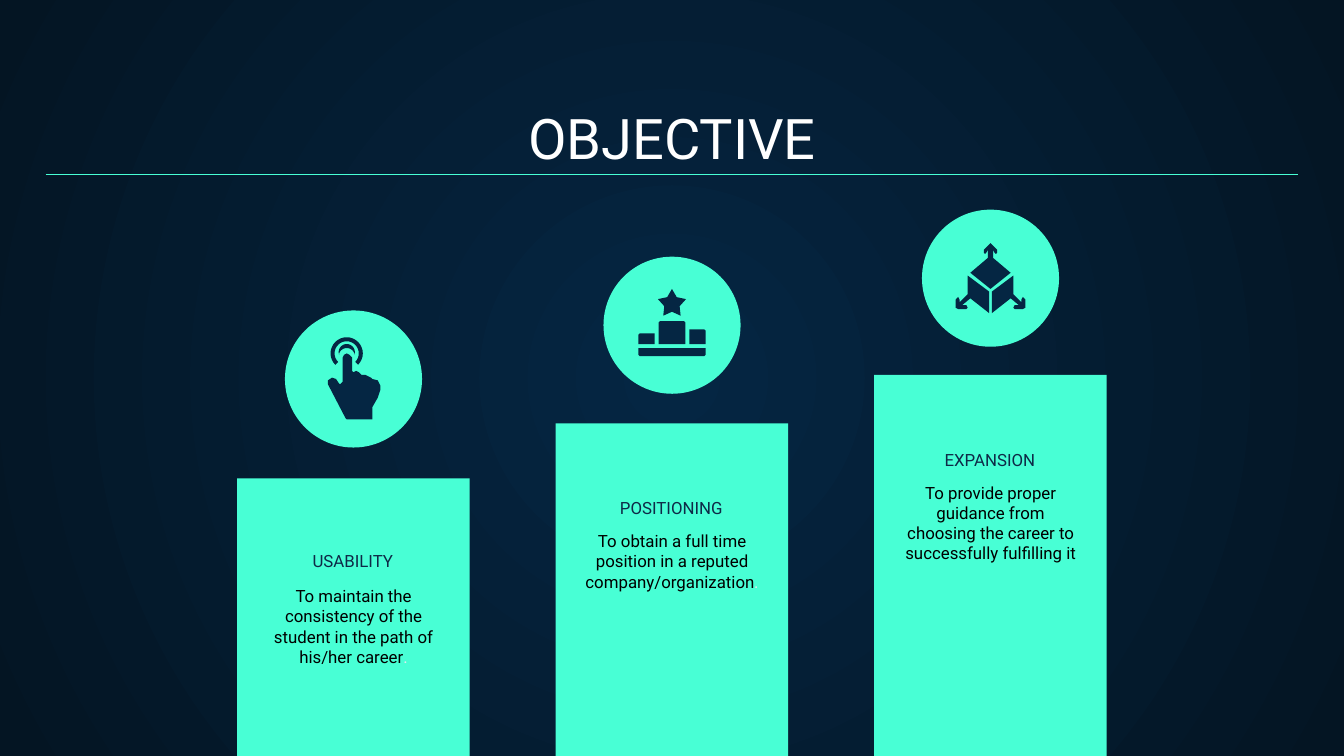
"""Build the Objective slide: three rising columns topped by icons."""
import math

import pptx
import pptx.dml.color
import pptx.enum.shapes
import pptx.enum.text
import pptx.oxml
import pptx.oxml.ns
import pptx.util

Inches = pptx.util.Inches
SHAPES = pptx.enum.shapes.MSO_SHAPE
ANCHOR = pptx.enum.text.MSO_ANCHOR

MINT = "48FFD5"
NAVY = "052643"
MIDNIGHT = "041523"
HEADING_BLUE = "0E2A47"
WHITE = "FFFFFF"
BLACK = "000000"
PALE = "E3E9ED"

SLIDE_WIDTH = 10
SLIDE_HEIGHT = SLIDE_WIDTH * 9 / 16
FIRST_CENTER, COLUMN_PITCH = 2.63, 2.37
COLUMN_WIDTH, COLUMN_BOTTOM = 1.73, 5.66
CIRCLE_SIZE = 1.02


def rgb(color):
    return pptx.dml.color.RGBColor.from_string(color)


def mirror(points):
    return [(-x, y) for x, y in reversed(points)]


def arc(center_x, center_y, radius, start, end, steps=24):
    angles = [math.radians(start + (end - start) * i / steps) for i in range(steps + 1)]
    return [(center_x + radius * math.cos(a), center_y + radius * math.sin(a)) for a in angles]


def touch_icon():
    ring = arc(-0.05, -0.19, 0.12, 135, 405) + arc(-0.05, -0.19, 0.09, 405, 135)
    fingertip = arc(-0.05, -0.2, 0.06, 160, 380) + arc(-0.05, -0.17, 0.06, 345, 195)
    hand = [
        (-0.05, -0.19), (-0.07, -0.18), (-0.08, -0.16), (-0.08, 0.02), (-0.1, 0.04),
        (-0.11, 0.03), (-0.13, 0), (-0.16, -0.01), (-0.19, 0.01), (-0.19, 0.04),
        (-0.06, 0.29), (-0.05, 0.3), (0.14, 0.3), (0.14, 0.21), (0.18, 0.14),
        (0.2, 0.08), (0.2, 0.05), (0.18, 0.01), (0.14, 0), (0.13, -0.01),
        (0.09, -0.03), (0.06, -0.03), (0.04, -0.05), (0.02, -0.06), (0, -0.05),
        (-0.01, -0.06), (-0.01, -0.16), (-0.03, -0.18),
    ]
    return [ring, fingertip, hand]


def podium_icon():
    star = []
    for i in range(10):
        star += arc(0, -0.16, 0.06 if i % 2 else 0.11, 36 * i - 90, 36 * i - 90, 1)
    first = [(-0.1, 0.14), (-0.1, -0.02), (-0.09, -0.03)]
    second = [(0.13, 0.14), (0.13, 0.03), (0.24, 0.03), (0.25, 0.04), (0.25, 0.14)]
    third = [(-0.25, 0.14), (-0.25, 0.07), (-0.24, 0.06), (-0.13, 0.06), (-0.13, 0.14)]
    base = [(-0.25, 0.17), (-0.25, 0.22), (-0.24, 0.23)]
    return [star, first + mirror(first), second, third, base + mirror(base)]


def cube_icon():
    side = [
        (0.17, -0.02), (0.01, 0.1), (0.01, 0.26), (0.15, 0.15), (0.21, 0.2),
        (0.18, 0.2), (0.17, 0.22), (0.18, 0.23), (0.24, 0.23), (0.26, 0.22),
        (0.26, 0.16), (0.24, 0.14), (0.23, 0.16), (0.23, 0.18), (0.17, 0.12),
    ]
    top = [
        (0, -0.26), (-0.01, -0.25), (-0.05, -0.21), (-0.05, -0.19), (-0.04, -0.18),
        (-0.03, -0.19), (-0.02, -0.21), (-0.02, -0.15), (-0.15, -0.04), (0, 0.08),
    ]
    return [side, mirror(side), top + mirror(top)]


COLUMNS = [
    (3.56, 2.31, "USABILITY", touch_icon,
     "To maintain the consistency of the student in the path of his/her career", "."),
    (3.15, 1.91, "POSITIONING", podium_icon,
     "To obtain a full time position in a reputed company/organization", "."),
    (2.79, 1.56, "EXPANSION", cube_icon,
     "To provide proper guidance from choosing the career to successfully fulfilling it", ""),
]


def paint(shape, color):
    shape.shadow.inherit = False
    shape.fill.solid()
    shape.fill.fore_color.rgb = rgb(color)
    shape.line.fill.background()


def write(frame, text, *, size, color, anchor, ending=""):
    frame.word_wrap = True
    frame.auto_size = pptx.enum.text.MSO_AUTO_SIZE.NONE
    frame.vertical_anchor = anchor
    frame.margin_left = frame.margin_right = Inches(0.1)
    frame.margin_top = frame.margin_bottom = Inches(0.1)
    paragraph = frame.paragraphs[0]
    paragraph.alignment = pptx.enum.text.PP_ALIGN.CENTER
    paragraph.line_spacing = 1.0
    for words, tint in ((text, color), (ending, PALE)):
        if words:
            run = paragraph.add_run()
            run.text = words
            run.font.name = "Roboto"
            run.font.size = pptx.util.Pt(size)
            run.font.color.rgb = rgb(tint)


def add_block(slide, preset, left, top, width, height):
    block = slide.shapes.add_shape(
        preset, Inches(left), Inches(top), Inches(width), Inches(height))
    paint(block, MINT)


def add_label(slide, text, left, top, width, height, **text_format):
    label = slide.shapes.add_textbox(
        Inches(left), Inches(top), Inches(width), Inches(height))
    write(label.text_frame, text, **text_format)


def add_icon(slide, outlines, center_x, center_y):
    icon = slide.shapes.add_group_shape()
    for outline in outlines:
        points = [(Inches(center_x + x), Inches(center_y + y)) for x, y in outline]
        builder = icon.shapes.build_freeform(*points[0])
        builder.add_line_segments(points[1:], close=True)
        paint(builder.convert_to_shape(), NAVY)


def add_column(slide, center, top, circle_top, heading, icon, body, ending):
    add_block(slide, SHAPES.RECTANGLE, center - COLUMN_WIDTH / 2, top,
              COLUMN_WIDTH, COLUMN_BOTTOM - top)
    add_label(slide, body, center - 0.76, top + 0.7, 1.52, 0.69,
              size=9, color=BLACK, anchor=ANCHOR.TOP, ending=ending)
    add_label(slide, heading, center - 1.14, circle_top + 1.83, 2.27, 0.21,
              size=9, color=HEADING_BLUE, anchor=ANCHOR.BOTTOM)
    add_block(slide, SHAPES.OVAL, center - CIRCLE_SIZE / 2, circle_top,
              CIRCLE_SIZE, CIRCLE_SIZE)
    add_icon(slide, icon(), center, circle_top + CIRCLE_SIZE / 2)


def set_background(slide):
    fill = slide.background.fill
    fill.gradient()
    for stop, position, color in zip(fill.gradient_stops, (0, 1), (NAVY, MIDNIGHT)):
        stop.position = position
        stop.color.rgb = rgb(color)
    gradient = slide.element.find(".//" + pptx.oxml.ns.qn("a:gradFill"))
    gradient.remove(gradient.find(pptx.oxml.ns.qn("a:lin")))
    gradient.append(pptx.oxml.parse_xml(
        f'<a:path {pptx.oxml.ns.nsdecls("a")} path="circle">'
        '<a:fillToRect l="50000" t="50000" r="50000" b="50000"/></a:path>'))


def add_title(slide, text):
    title = slide.shapes.title
    title.left, title.top = Inches(0.34), Inches(0.71)
    title.width, title.height = Inches(9.32), Inches(0.66)
    write(title.text_frame, text, size=30, color=WHITE, anchor=ANCHOR.BOTTOM)


def add_rule(slide):
    rule = slide.shapes.add_connector(
        pptx.enum.shapes.MSO_CONNECTOR.STRAIGHT,
        Inches(0.34), Inches(1.3), Inches(9.66), Inches(1.3))
    rule.line.color.rgb = rgb(MINT)
    rule.line.width = pptx.util.Pt(0.75)
    rule.element.spPr.append(
        pptx.oxml.parse_xml(f'<a:effectLst {pptx.oxml.ns.nsdecls("a")}/>'))


def main():
    deck = pptx.Presentation()
    deck.slide_width, deck.slide_height = Inches(SLIDE_WIDTH), Inches(SLIDE_HEIGHT)
    slide = deck.slides.add_slide(deck.slide_layouts[5])
    set_background(slide)
    add_title(slide, "OBJECTIVE")
    for index, column in enumerate(COLUMNS):
        add_column(slide, FIRST_CENTER + index * COLUMN_PITCH, *column)
    add_rule(slide)
    deck.save("out.pptx")


if __name__ == "__main__":
    main()
